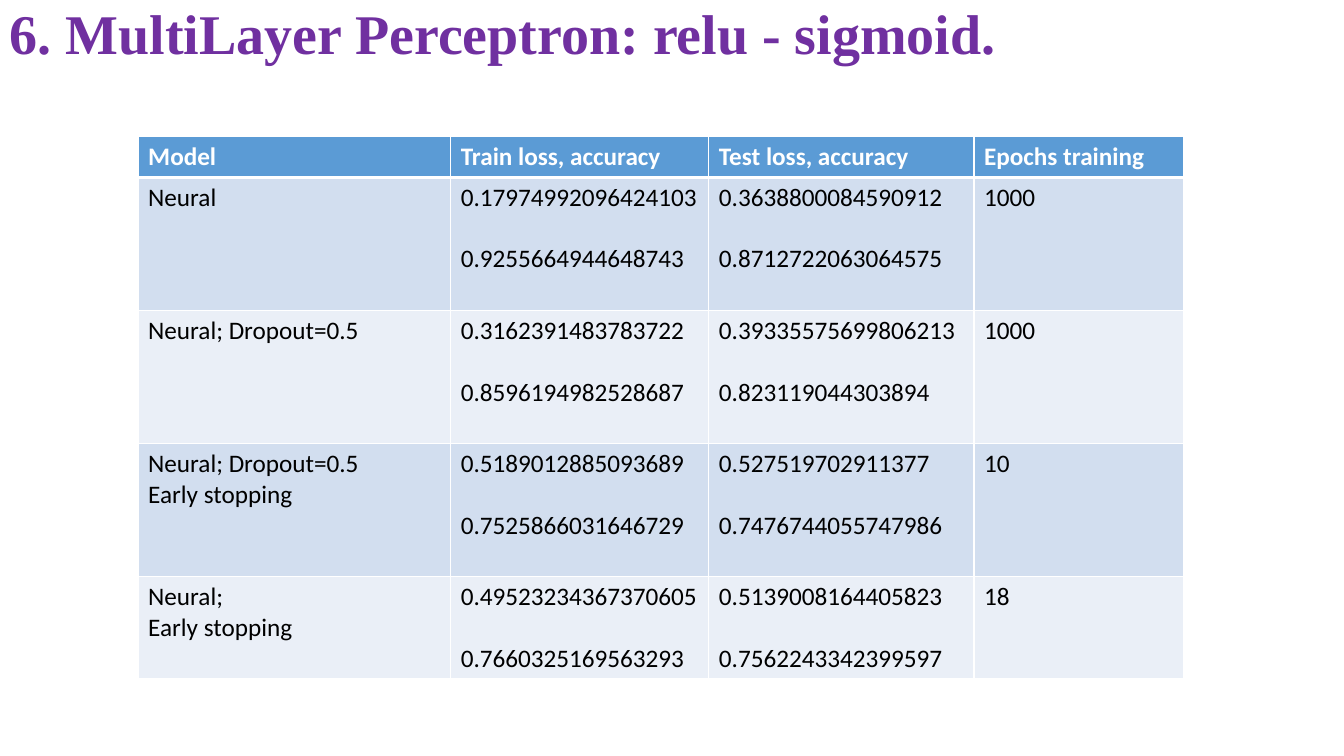
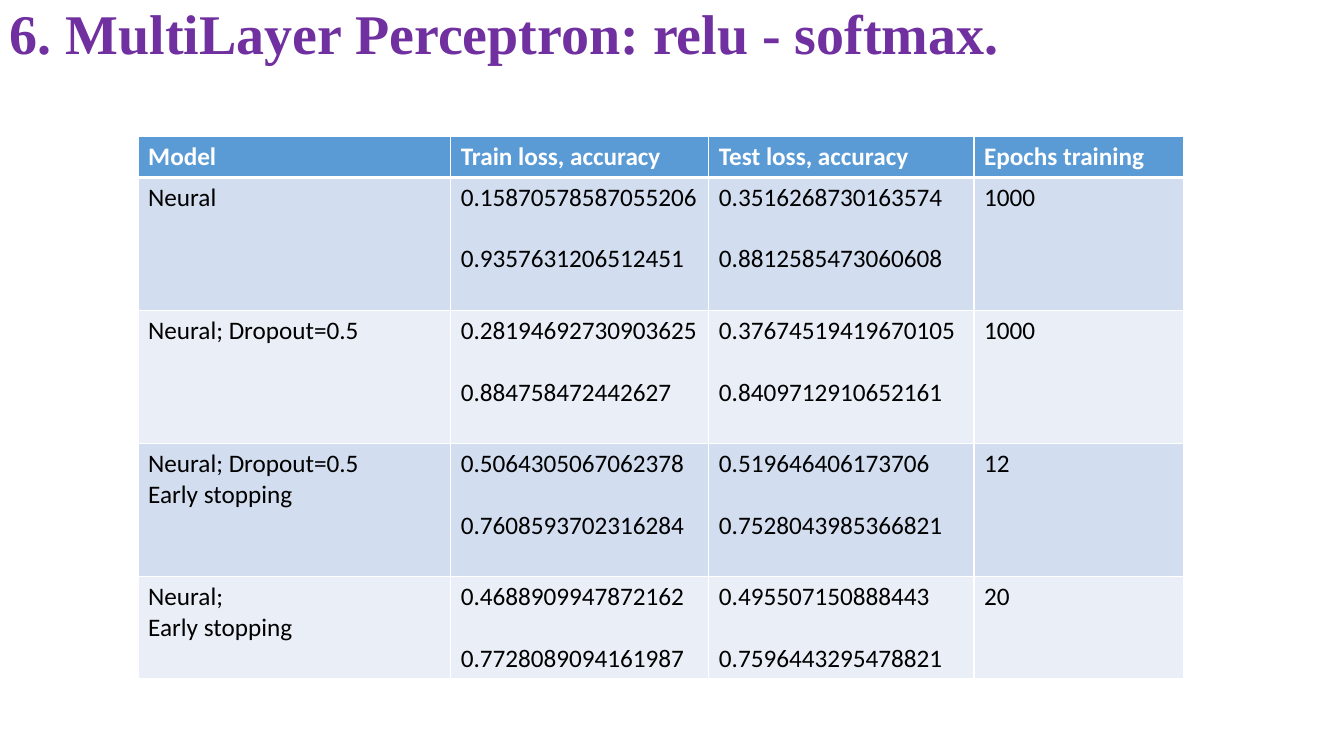
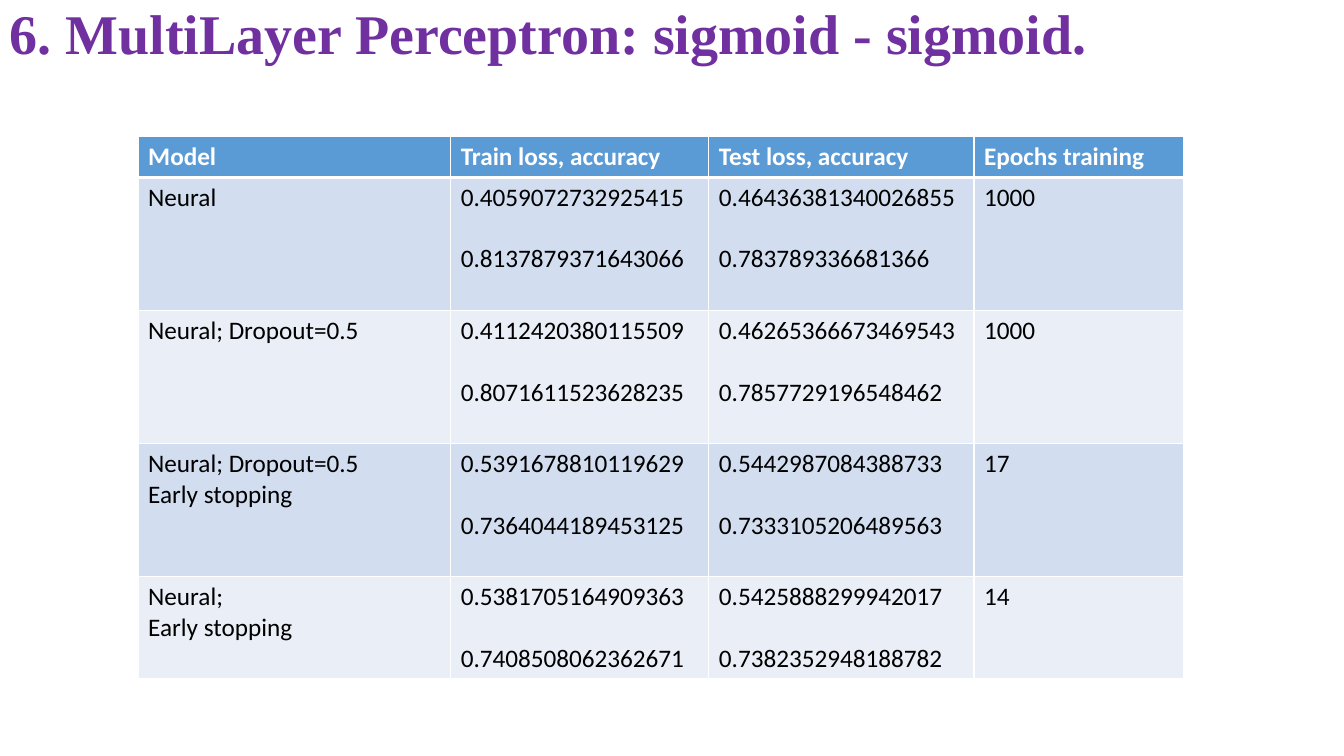
from dataclasses import dataclass

from lxml.etree import SubElement
from pptx import Presentation
from pptx.dml.color import RGBColor as RGB
from pptx.enum.text import MSO_ANCHOR as Anchor
from pptx.oxml.ns import qn
from pptx.util import Inches, Pt


@dataclass(frozen=True)
class Theme:
    title_font: str = "Times New Roman"
    body_font: str = "Calibri"
    title_size: int = 40
    body_size: int = 18
    value_gap: int = 22
    title: str = "7030A0"
    header: str = "5B9BD5"
    bands: tuple = ("D2DEEF", "EAEFF7")
    text: str = "000000"
    white: str = "FFFFFF"
    thin: int = 1
    thick: int = 3


# Table layout and labels
COLUMNS = (3.1, 2.56, 2.63, 2.08)
ROWS = (0.41, 1.32, 1.32, 1.32, 1.01)
HEADERS = ("Model", "Train loss, accuracy", "Test loss, accuracy", "Epochs training")
MODELS = (
    ("Neural",),
    ("Neural; Dropout=0.5",),
    ("Neural; Dropout=0.5", "Early stopping"),
    ("Neural;", "Early stopping"),
)

# Per activation pair, one row per model: train values, test values, epochs
RESULTS = {
    "relu - sigmoid": (
        (("0.17974992096424103", "0.9255664944648743"),
         ("0.3638800084590912", "0.8712722063064575"), "1000"),
        (("0.3162391483783722", "0.8596194982528687"),
         ("0.39335575699806213", "0.823119044303894"), "1000"),
        (("0.5189012885093689", "0.7525866031646729"),
         ("0.527519702911377", "0.7476744055747986"), "10"),
        (("0.49523234367370605", "0.7660325169563293"),
         ("0.5139008164405823", "0.7562243342399597"), "18"),
    ),
    "relu - softmax": (
        (("0.15870578587055206", "0.9357631206512451"),
         ("0.3516268730163574", "0.8812585473060608"), "1000"),
        (("0.28194692730903625", "0.884758472442627"),
         ("0.37674519419670105", "0.8409712910652161"), "1000"),
        (("0.5064305067062378", "0.7608593702316284"),
         ("0.519646406173706", "0.7528043985366821"), "12"),
        (("0.4688909947872162", "0.7728089094161987"),
         ("0.495507150888443", "0.7596443295478821"), "20"),
    ),
    "sigmoid - sigmoid": (
        (("0.4059072732925415", "0.8137879371643066"),
         ("0.46436381340026855", "0.783789336681366"), "1000"),
        (("0.4112420380115509", "0.8071611523628235"),
         ("0.46265366673469543", "0.7857729196548462"), "1000"),
        (("0.5391678810119629", "0.7364044189453125"),
         ("0.5442987084388733", "0.7333105206489563"), "17"),
        (("0.5381705164909363", "0.7408508062362671"),
         ("0.5425888299942017", "0.7382352948188782"), "14"),
    ),
}


class Deck:
    def __init__(self, theme):
        self.theme = theme
        self.prs = Presentation()
        self.prs.slide_width = Inches(13.33)
        self.prs.slide_height = Inches(7.5)
        self.slide = None

    def new_slide(self):
        self.slide = self.prs.slides.add_slide(self.prs.slide_layouts[6])

    def style(self, p, font, size, color, bold=False):
        for r in p.runs:
            r.font.name = font
            r.font.size = Pt(size)
            r.font.bold = bold
            r.font.color.rgb = RGB.from_string(color)

    def title(self, text):
        t = self.theme
        box = self.slide.shapes.add_textbox(0, 0, self.prs.slide_width, Inches(0.72))
        tf = box.text_frame
        tf.word_wrap = True
        tf.vertical_anchor = Anchor.MIDDLE
        tf.text = text
        p = tf.paragraphs[0]
        p.line_spacing = 0.9
        self.style(p, t.title_font, t.title_size, t.title, bold=True)

    def borders(self, cell, top, bottom):
        tc_pr = cell._tc.get_or_add_tcPr()
        thin = self.theme.thin
        for side, width in (("L", thin), ("R", thin), ("T", top), ("B", bottom)):
            ln = SubElement(tc_pr, qn(f"a:ln{side}"), w=str(Pt(width)))
            fill = SubElement(ln, qn("a:solidFill"))
            SubElement(fill, qn("a:srgbClr"), val=self.theme.white)

    def cell(self, cell, lines, row, gap=0):
        t = self.theme
        is_header = row == 0
        # Borders come before the fill in the cell properties
        self.borders(cell, t.thick if row == 1 else t.thin,
                     t.thick if is_header else t.thin)
        cell.fill.solid()
        color = t.header if is_header else t.bands[(row - 1) % 2]
        cell.fill.fore_color.rgb = RGB.from_string(color)
        cell.text_frame.text = "\n".join(lines)
        for i, p in enumerate(cell.text_frame.paragraphs):
            p.space_before = Pt(gap if i else 0)
            self.style(p, t.body_font, t.body_size,
                       t.white if is_header else t.text, is_header)

    def table(self, results):
        gap = self.theme.value_gap
        table = self.slide.shapes.add_table(
            len(ROWS), len(COLUMNS), Inches(1.37), Inches(1.35),
            Inches(sum(COLUMNS)), Inches(sum(ROWS))).table
        for column, width in zip(table.columns, COLUMNS):
            column.width = Inches(width)
        for row, height in zip(table.rows, ROWS):
            row.height = Inches(height)
        for c, header in enumerate(HEADERS):
            self.cell(table.cell(0, c), (header,), 0)
        for r, (model, (train, test, epochs)) in enumerate(zip(MODELS, results), 1):
            self.cell(table.cell(r, 0), model, r)
            self.cell(table.cell(r, 1), train, r, gap)
            self.cell(table.cell(r, 2), test, r, gap)
            self.cell(table.cell(r, 3), (epochs,), r)


def main():
    deck = Deck(Theme())
    for activations, results in RESULTS.items():
        deck.new_slide()
        deck.title(f"6. MultiLayer Perceptron: {activations}.")
        deck.table(results)
    deck.prs.save("out.pptx")


if __name__ == "__main__":
    main()
